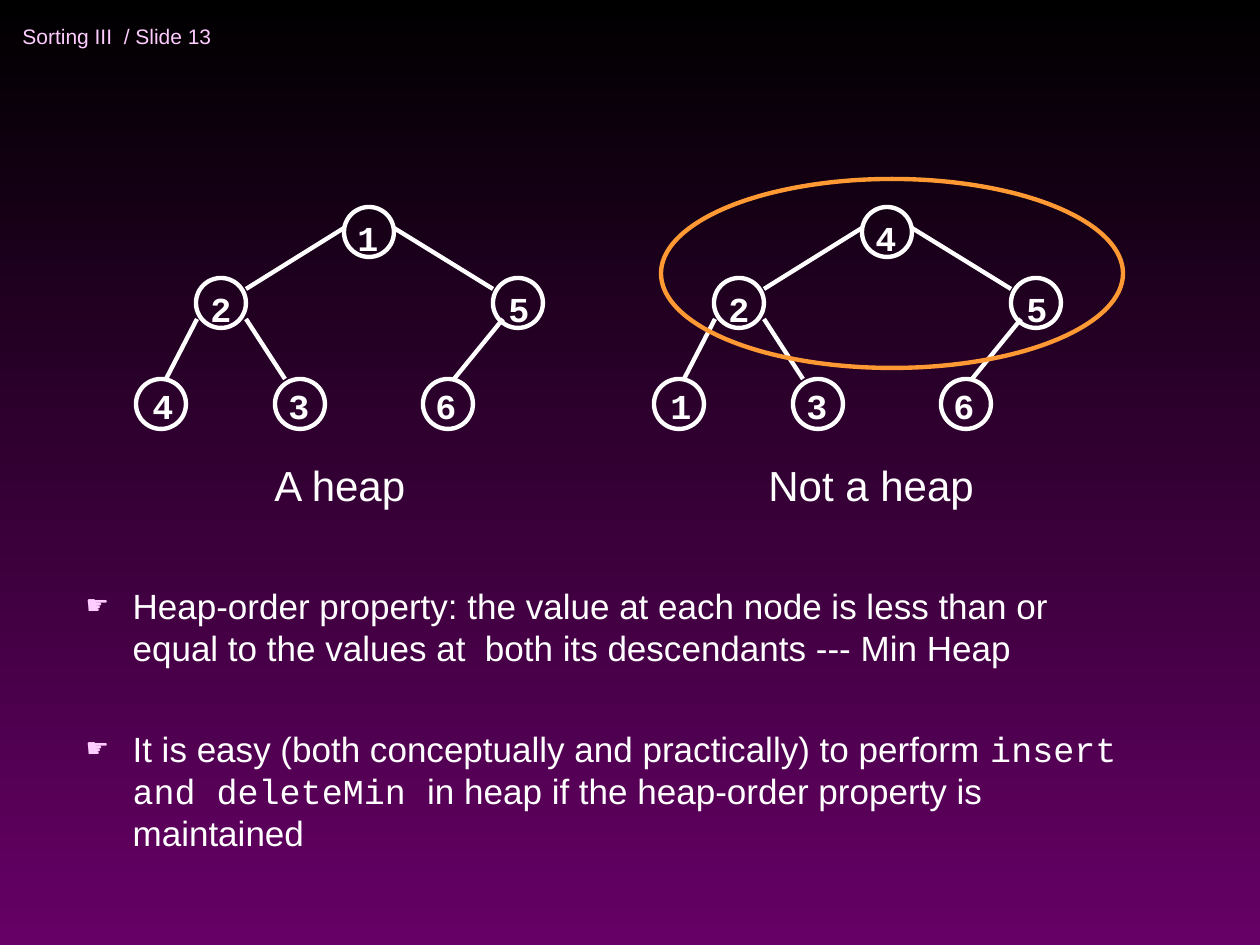
from lxml import etree
from pptx import Presentation, util as u
from pptx.dml.color import RGBColor
from pptx.enum import shapes, text
from pptx.oxml.ns import qn

BLACK = RGBColor(0x00, 0x00, 0x00)
PURPLE = RGBColor(0x66, 0x00, 0x66)
PINK = RGBColor(0xFF, 0xCC, 0xFF)
WHITE = RGBColor(0xFF, 0xFF, 0xFF)
ORANGE = RGBColor(0xFF, 0x99, 0x33)
SANS, MONO = "Arial", "Courier New"
PX_PER_INCH = 126
NODE_SIZE = 50
TREE_SHIFT = 518

NODES = [(344, 207), (493, 278), (196, 278), (136, 379), (275, 379), (423, 379)]
LABELS = [(345, 210), (496, 281), (198, 281), (140, 378), (276, 378), (423, 378)]
EDGES = [
    (344, 228, 246, 289),
    (394, 228, 493, 289),
    (197, 319, 166, 379),
    (246, 319, 285, 379),
    (503, 319, 454, 379),
]
BULLETS = [
    [("Heap-order property: the value at each node is less than or equal to "
      "the values at  both its descendants --- Min Heap", SANS)],
    [("It is easy (both conceptually and practically) to perform ", SANS),
     ("insert and deleteMin ", MONO),
     ("in heap if the heap-order property is maintained", SANS)],
]


def px(length):
    return u.Inches(length / PX_PER_INCH)


class HeapSlide:
    """Draws styled elements on one slide, with lengths in px."""

    def __init__(self, page):
        self.page = page
        self.line_width = u.Pt(2.5)

    def background(self, top, bottom):
        fill = self.page.background.fill
        fill.gradient()
        fill.gradient_angle = 270
        for stop, color, position in zip(fill.gradient_stops, (top, bottom), (0, 1)):
            stop.color.rgb = color
            stop.position = position

    def style(self, span, size, font=SANS, color=WHITE, bold=False):
        span.font.size = u.Pt(size)
        span.font.name = font
        span.font.color.rgb = color
        span.font.bold = bold

    def label(self, words, left, top, width, height, size, wrap=True, **look):
        box = self.page.shapes.add_textbox(px(left), px(top), px(width), px(height))
        frame = box.text_frame
        frame.text = words
        frame.word_wrap = wrap
        para = frame.paragraphs[0]
        para.line_spacing = u.Pt(size * 1.2)
        self.style(para.runs[0], size, **look)
        return frame

    def ellipse(self, left, top, width, height, color=WHITE):
        oval = self.page.shapes.add_shape(
            shapes.MSO_SHAPE.OVAL, px(left), px(top), px(width), px(height))
        oval.shadow.inherit = False
        oval.fill.background()
        oval.line.color.rgb = color
        oval.line.width = self.line_width

    def edge(self, *ends):
        line = self.page.shapes.add_connector(
            shapes.MSO_CONNECTOR.STRAIGHT, *map(px, ends))
        line.line.color.rgb = WHITE
        line.line.width = self.line_width
        etree.SubElement(line._element.spPr, qn("a:effectLst"))

    def tree(self, values, shift):
        for left, top in NODES:
            self.ellipse(left + shift, top, NODE_SIZE, NODE_SIZE)
        for x1, y1, x2, y2 in EDGES:
            self.edge(x1 + shift, y1, x2 + shift, y2)
        for value, (left, top) in zip(values, LABELS):
            self.label(value, left + shift, top, 45, 55, 20,
                       wrap=False, font=MONO, bold=True)

    def bullet(self, para):
        props = para._p.get_or_add_pPr()
        props.set("marL", str(px(47)))
        props.set("indent", str(-px(47)))
        color = etree.SubElement(props, qn("a:buClr"))
        etree.SubElement(color, qn("a:srgbClr"), val=str(PINK))
        etree.SubElement(props, qn("a:buSzPct"), val="75000")
        etree.SubElement(props, qn("a:buChar"), char="☛")

    def body(self, box, items, left, top, width, height):
        box.left, box.top, box.width, box.height = map(px, (left, top, width, height))
        frame = box.text_frame
        frame.auto_size = text.MSO_AUTO_SIZE.NONE
        for index, item in enumerate(items):
            para = frame.add_paragraph() if index else frame.paragraphs[0]
            self.bullet(para)
            para.line_spacing = u.Pt(24)
            para.space_before = u.Pt(34 if index else 0)
            for words, font in item:
                span = para.add_run()
                span.text = words
                self.style(span, 20, font=font)


def main():
    deck = Presentation()
    deck.slide_width, deck.slide_height = u.Inches(10), u.Inches(7.5)
    page = deck.slides.add_slide(deck.slide_layouts[1])
    title = page.shapes.title._element
    title.getparent().remove(title)

    slide = HeapSlide(page)
    slide.background(BLACK, PURPLE)
    header = slide.label("Sorting III  / Slide 13", 10, 10, 346, 53, 12,
                         wrap=False, color=PINK)
    header.vertical_anchor = text.MSO_ANCHOR.MIDDLE
    slide.body(page.placeholders[1], BULLETS, 73, 578, 1081, 388)
    slide.label("A heap", 262, 453, 168, 63, 24)
    slide.tree("152436", 0)
    slide.label("Not a heap", 756, 453, 273, 63, 24)
    slide.tree("452136", TREE_SHIFT)
    slide.ellipse(661, 179, 462, 189, ORANGE)
    deck.save("out.pptx")


if __name__ == "__main__":
    main()
